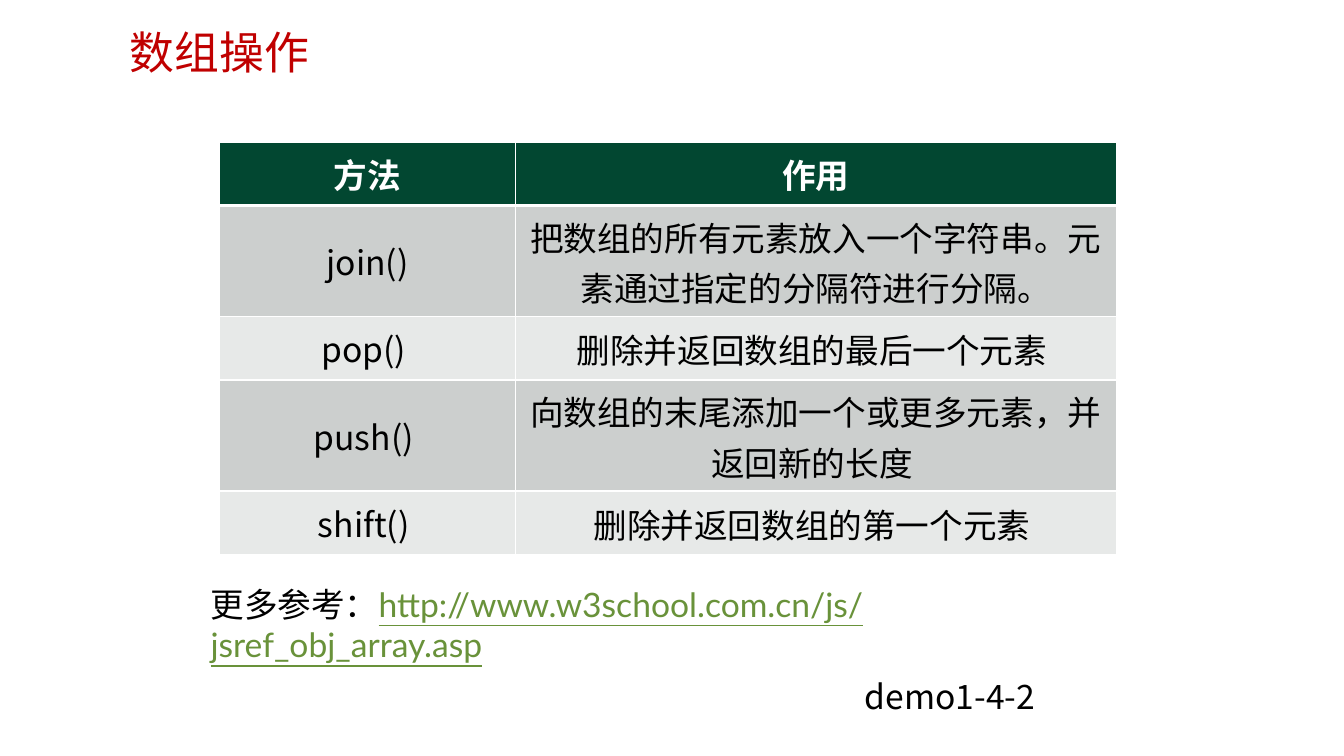
from lxml.etree import SubElement
from pptx import Presentation
from pptx.dml.color import RGBColor
from pptx.enum.text import MSO_ANCHOR, PP_ALIGN
from pptx.oxml.ns import qn
from pptx.util import Inches, Pt

WHITE = RGBColor(255, 255, 255)
BLACK = RGBColor(0, 0, 0)
RED = RGBColor(0xC0, 0, 0)
GREEN = RGBColor(0x02, 0x47, 0x31)
LINK = RGBColor(0x69, 0x92, 0x3A)
BANDS = (RGBColor(0xE7, 0xE9, 0xE8), RGBColor(0xCC, 0xCF, 0xCE))
LATO, NOTO = "Lato", "Noto Sans CJK SC"

ROWS = [
    ("方法", "作用"),
    ("join()", "把数组的所有元素放入一个字符串。元素通过指定的分隔符进行分隔。"),
    ("pop() ", "删除并返回数组的最后一个元素 "),
    ("push() ", "向数组的末尾添加一个或更多元素，并\n返回新的长度 "),
    ("shift() ", "删除并返回数组的第一个元素 "),
]
COLS = (2.93, 5.96)
LOW, HIGH = 0.63, 1.1
TALL = (1, 3)


def add_run(para, text, size=24, face=NOTO, color=BLACK):
    """Add one styled run to a paragraph."""
    run = para.add_run()
    run.text = text
    run.font.size = Pt(size)
    run.font.name = face
    run.font.color.rgb = color
    east = SubElement(run.font._element, qn("a:ea"))
    east.set("typeface", NOTO)
    return run


def add_text(slide, box):
    """Add a wrapping text box and return its first paragraph."""
    frame = slide.shapes.add_textbox(*map(Inches, box)).text_frame
    frame.word_wrap = True
    return frame.paragraphs[0]


def set_edges(cell, base):
    """Draw white cell borders with the given bottom width."""
    props = cell._tc.get_or_add_tcPr()
    for i, side in enumerate("LRTB"):
        line = SubElement(props, qn(f"a:ln{side}"))
        line.set("w", str(Pt(base if side == "B" else 1)))
        fill = SubElement(line, qn("a:solidFill"))
        SubElement(fill, qn("a:srgbClr")).set("val", str(WHITE))
        props.insert(i, line)


def fill_cell(cell, text, row, col):
    """Style one table cell and write its text."""
    head = row == 0
    cell.fill.solid()
    cell.fill.fore_color.rgb = GREEN if head else BANDS[row % 2]
    set_edges(cell, 3 if head else 1)
    cell.vertical_anchor = MSO_ANCHOR.MIDDLE
    para = cell.text_frame.paragraphs[0]
    para.alignment = PP_ALIGN.CENTER
    if col and not head:
        para.line_spacing = Pt(36)
        para.space_after = Pt(6)
    for i, part in enumerate(text.split("\n")):
        if i:
            para.add_line_break()
        run = add_run(para, part, face=LATO if head else NOTO,
                      color=WHITE if head else BLACK)
        run.font.bold = head


def add_grid(slide, box):
    """Build the table of array methods."""
    frame = slide.shapes.add_table(len(ROWS), len(COLS), *map(Inches, box))
    table = frame.table
    for col, width in enumerate(COLS):
        table.columns[col].width = Inches(width)
    for row, texts in enumerate(ROWS):
        table.rows[row].height = Inches(HIGH if row in TALL else LOW)
        for col, text in enumerate(texts):
            fill_cell(table.cell(row, col), text, row, col)


def add_title(slide, box):
    """Write the slide title."""
    para = add_text(slide, box)
    para.line_spacing = 0.9
    add_run(para, "数组操作", 32, color=RED)


def add_notes(slide, box):
    """Write the reference address and, below it, the demo name."""
    left, top, width, height = box
    para = add_text(slide, box)
    add_run(para, "更多参考：", face=LATO)
    link = add_run(para, "http://www.w3school.com.cn/js/jsref_obj_array.asp",
                   face=LATO, color=LINK)
    link.font.underline = True
    demo = (left + 0.7 * width, top + 0.92, 0.22 * width, height)
    add_run(add_text(slide, demo), "demo1-4-2")


def main():
    """Build and save the slide."""
    deck = Presentation()
    deck.slide_width, deck.slide_height = Inches(13.33), Inches(7.5)
    slide = deck.slides.add_slide(deck.slide_layouts[6])
    add_grid(slide, (2.18, 1.41, sum(COLS), 3 * LOW + 2 * HIGH))
    add_title(slide, (1.19, 0.26, 8.96, 0.54))
    add_notes(slide, (1.99, 5.74, 9.27, 0.5))
    deck.save("out.pptx")


if __name__ == "__main__":
    main()
